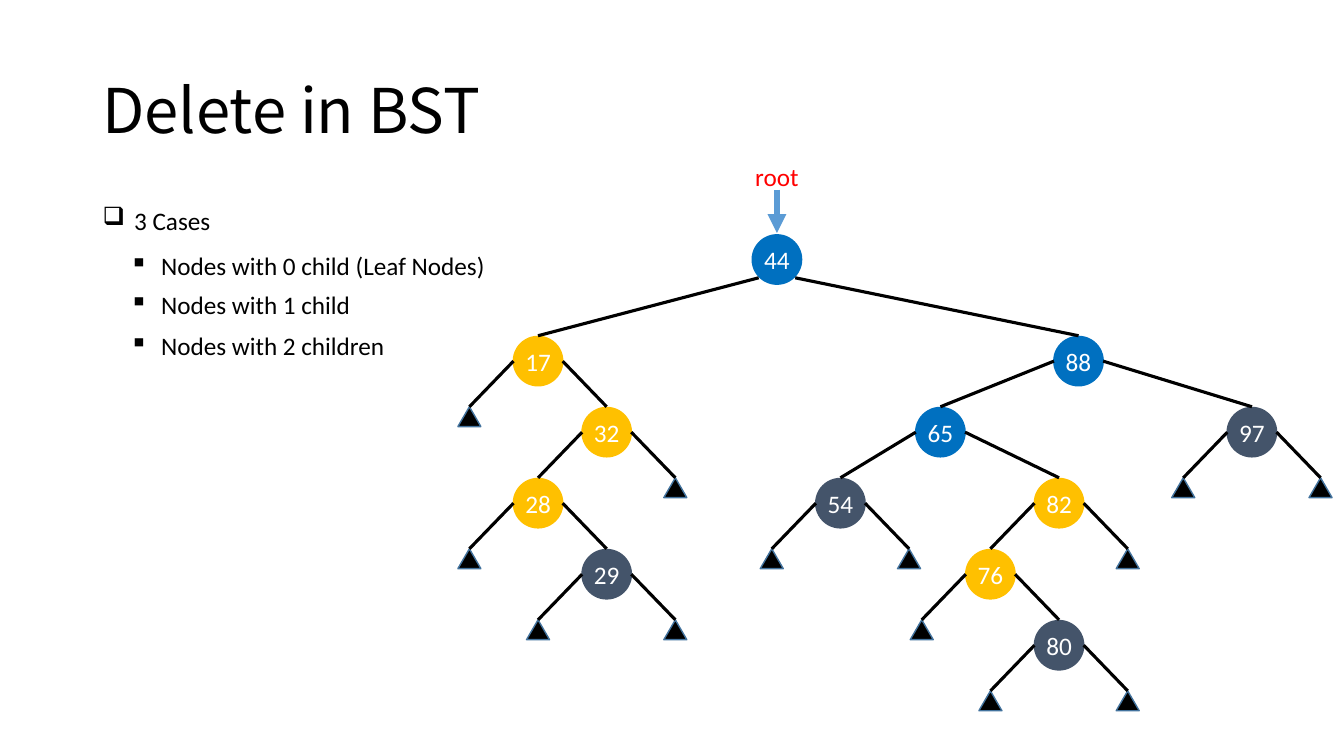
from dataclasses import dataclass
from typing import Optional

from lxml import etree
from pptx import Presentation
from pptx.dml.color import RGBColor
from pptx.enum.shapes import MSO_CONNECTOR, MSO_SHAPE
from pptx.enum.text import MSO_ANCHOR, PP_ALIGN
from pptx.oxml.ns import qn
from pptx.util import Cm, Pt

STRAIGHT = MSO_CONNECTOR.STRAIGHT
CIRCLE = MSO_SHAPE.OVAL
TRIANGLE = MSO_SHAPE.ISOSCELES_TRIANGLE
MIDDLE = MSO_ANCHOR.MIDDLE
LEFT, CENTER = PP_ALIGN.LEFT, PP_ALIGN.CENTER
TOP_SITE = 0


@dataclass(frozen=True)
class Theme:
    black: RGBColor = RGBColor(0x00, 0x00, 0x00)
    white: RGBColor = RGBColor(0xFF, 0xFF, 0xFF)
    red: RGBColor = RGBColor(0xFF, 0x00, 0x00)
    pointer: RGBColor = RGBColor(0x5B, 0x9B, 0xD5)
    leaf_edge: RGBColor = RGBColor(0x43, 0x73, 0x9E)
    no_child: RGBColor = RGBColor(0x44, 0x54, 0x6A)
    one_child: RGBColor = RGBColor(0xFF, 0xC0, 0x00)
    two_children: RGBColor = RGBColor(0x00, 0x70, 0xC0)
    title_font: str = "Noto Sans CJK SC"
    body_font: str = "Calibri"
    title_size: Pt = Pt(44)
    body_size: Pt = Pt(18)


THEME = Theme()

# Tree measures in centimetres
DIAMETER = 1.28
LEAF_WIDTH, LEAF_HEIGHT = 0.58, 0.5
ROOT_X, ROOT_TOP = 19.58, 5.9
ROOT_DROP, LEVEL_DROP = 2.56, 1.79
CHILD_REACH = 1.73
ROOT_EDGE_START = (0.46, 1.1)
EDGE_START = (0.62, 0.64)


@dataclass(frozen=True)
class Node:
    """A key with its children; reach is the sideways distance to the parent."""
    key: int
    left: Optional["Node"] = None
    right: Optional["Node"] = None
    reach: float = CHILD_REACH

    @property
    def fill(self):
        children = (self.left is not None) + (self.right is not None)
        return (THEME.no_child, THEME.one_child, THEME.two_children)[children]


TREE = Node(
    44,
    Node(17, right=Node(32, left=Node(28, right=Node(29))), reach=6.02),
    Node(
        88,
        Node(
            65,
            Node(54, reach=2.52),
            Node(82, left=Node(76, right=Node(80)), reach=2.99),
            reach=3.48,
        ),
        Node(97, reach=4.37),
        reach=7.6,
    ),
)

CASES = [
    # text, bullet, left, top, width
    ("3 Cases", "❑", 2.34, 5.03, 3.38),
    ("Nodes with 0 child (Leaf Nodes)", "▪", 3.02, 6.17, 10.24),
    ("Nodes with 1 child", "▪", 3.02, 7.16, 6.43),
    ("Nodes with 2 children", "▪", 3.02, 8.2, 7.32),
]


def style_paragraph(paragraph, color, size, font_name, align=LEFT):
    paragraph.alignment = align
    paragraph.font.size = size
    paragraph.font.name = font_name
    paragraph.font.color.rgb = color


def add_text(slide, text, left, top, width, height, color=THEME.black,
             size=THEME.body_size, font_name=THEME.body_font, align=LEFT,
             bullet=None):
    frame = slide.shapes.add_textbox(
        Cm(left), Cm(top), Cm(width), Cm(height)).text_frame
    frame.word_wrap = True
    frame.vertical_anchor = MIDDLE
    paragraph = frame.paragraphs[0]
    paragraph.text = text
    if bullet:
        add_bullet(paragraph, bullet)
    style_paragraph(paragraph, color, size, font_name, align)
    return paragraph


def add_bullet(paragraph, character):
    properties = paragraph._p.get_or_add_pPr()
    properties.set("marL", str(Cm(0.79)))
    properties.set("indent", str(-Cm(0.79)))
    etree.SubElement(properties, qn("a:buChar"), char=character)


def add_line(slide, start, end, color, width, arrow=False):
    line = slide.shapes.add_connector(
        STRAIGHT, *(Cm(value) for value in (*start, *end)))
    line.line.color.rgb = color
    line.line.width = Pt(width)
    if arrow:
        etree.SubElement(line.line._get_or_add_ln(), qn("a:tailEnd"),
                         type="triangle")
    etree.SubElement(line._element.spPr, qn("a:effectLst"))
    return line


def add_solid(slide, preset, center_x, top, width, height, fill):
    solid = slide.shapes.add_shape(
        preset, Cm(center_x - width / 2), Cm(top), Cm(width), Cm(height))
    solid.shadow.inherit = False
    solid.fill.solid()
    solid.fill.fore_color.rgb = fill
    return solid


def add_leaf(slide, center_x, top):
    leaf = add_solid(slide, TRIANGLE, center_x, top, LEAF_WIDTH, LEAF_HEIGHT,
                     THEME.black)
    leaf.line.color.rgb = THEME.leaf_edge
    leaf.line.width = Pt(1)
    return leaf


def add_key(slide, node, center_x, top):
    circle = add_solid(slide, CIRCLE, center_x, top, DIAMETER, DIAMETER,
                       node.fill)
    circle.line.fill.background()
    frame = circle.text_frame
    frame.margin_left = frame.margin_right = 0
    frame.margin_top = frame.margin_bottom = 0
    frame.word_wrap = False
    frame.vertical_anchor = MIDDLE
    frame.text = str(node.key)
    style_paragraph(frame.paragraphs[0], THEME.white, THEME.body_size,
                    THEME.body_font, CENTER)
    return circle


def add_subtree(slide, node, center_x, top):
    """Draw a node with everything below it and return its circle."""
    circle = add_key(slide, node, center_x, top)
    is_root = node is TREE
    start_x, start_y = ROOT_EDGE_START if is_root else EDGE_START
    child_top = top + (ROOT_DROP if is_root else LEVEL_DROP)
    for side, child in ((-1, node.left), (1, node.right)):
        child_x = center_x + side * (child.reach if child else CHILD_REACH)
        if child:
            target = add_subtree(slide, child, child_x, child_top)
        else:
            target = add_leaf(slide, child_x, child_top)
        edge = add_line(slide, (center_x + side * start_x, top + start_y),
                        (child_x, child_top), THEME.black, 2.25)
        edge.end_connect(target, TOP_SITE)
    return circle


def main():
    presentation = Presentation()
    presentation.slide_width = Cm(33.87)
    presentation.slide_height = Cm(19.05)
    slide = presentation.slides.add_slide(presentation.slide_layouts[6])

    title = add_text(slide, "Delete in BST", 2.33, 1.01, 29.21, 3.68,
                     size=THEME.title_size, font_name=THEME.title_font)
    title.line_spacing = 0.9
    for text, bullet, left, top, width in CASES:
        add_text(slide, text, left, top, width, 1.03, bullet=bullet)

    add_line(slide, (ROOT_X, 4.78), (ROOT_X, 5.87), THEME.pointer, 4.5,
             arrow=True)
    add_text(slide, "root", ROOT_X - 0.9, 3.94, 1.8, 1.03, color=THEME.red,
             align=CENTER)
    add_subtree(slide, TREE, ROOT_X, ROOT_TOP)
    presentation.save("out.pptx")


if __name__ == "__main__":
    main()
